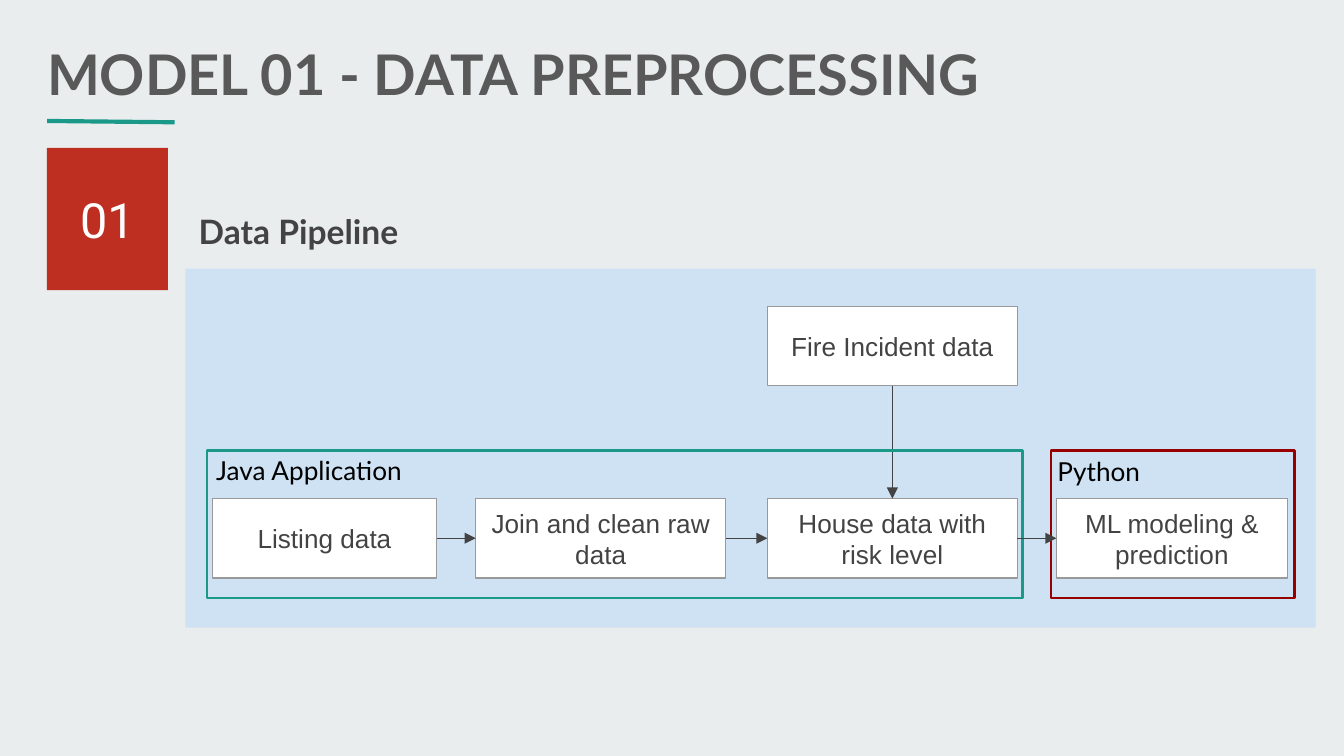
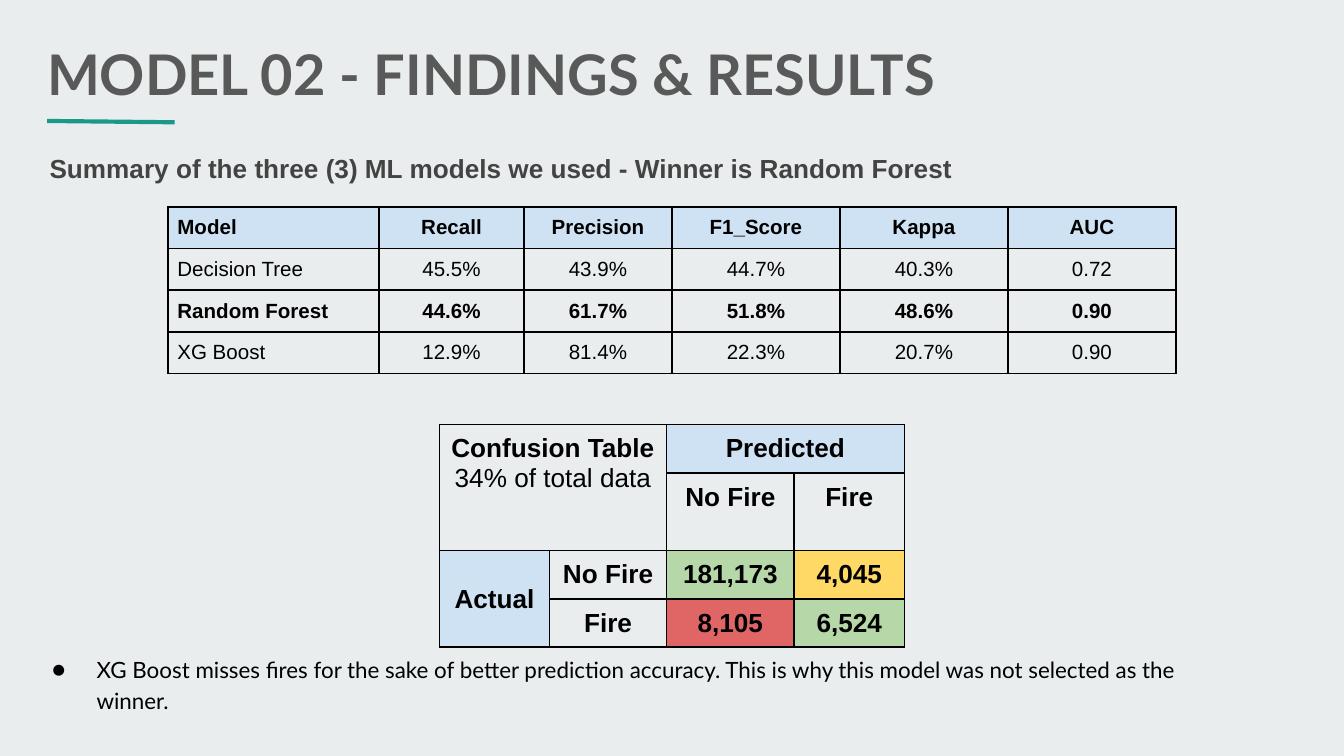
from dataclasses import dataclass
from typing import NamedTuple

from lxml import etree
from pptx import Presentation
from pptx import util as u
from pptx.dml.color import RGBColor
from pptx.enum import shapes, text
from pptx.oxml.ns import qn

# Shared look
PAGE, PALE, WHITE, BLACK = "E9EDEE", "CFE2F3", "FFFFFF", "000000"
TEAL, RED, MAROON = "1A9988", "BE2F22", "980000"
HEAD, INK, GREY = "595959", "434343", "999999"
GREEN, GOLD, ROSE = "B6D7A8", "FFD966", "E06666"
LEFT, MID = text.PP_ALIGN.LEFT, text.PP_ALIGN.CENTER
TOP, HALF = text.MSO_ANCHOR.TOP, text.MSO_ANCHOR.MIDDLE
WIDE = 10
HIGH = WIDE * 9 / 16


@dataclass(frozen=True)
class Font:
    size: float
    face: str = "Arial"
    hue: str = BLACK
    bold: bool = False


class Area(NamedTuple):
    x: float
    y: float
    w: float
    h: float

    def emu(self) -> list:
        return [u.Inches(v) for v in self]


class Step(NamedTuple):
    label: str
    area: Area


class Group(NamedTuple):
    label: str
    spot: Area
    frame: Area
    hue: str


class Cell(NamedTuple):
    row: int
    col: int
    lines: tuple
    fill: str = ""
    align: int = MID
    anchor: int = TOP
    rows: int = 1
    cols: int = 1


def rgb(hue: str) -> RGBColor:
    return RGBColor.from_string(hue)


# Text helpers
def write(para, words: str, font: Font, align=LEFT, lead: float = 0) -> None:
    para.alignment = align
    if lead:
        para.line_spacing = lead
    run = para.add_run()
    run.text = words
    run.font.size = u.Pt(font.size)
    run.font.name = font.face
    run.font.bold = font.bold
    run.font.color.rgb = rgb(font.hue)


def setup(frame, anchor=TOP) -> None:
    frame.word_wrap = True
    frame.auto_size = text.MSO_AUTO_SIZE.NONE
    frame.vertical_anchor = anchor
    frame.margin_left = frame.margin_right = u.Inches(0.1)
    frame.margin_top = frame.margin_bottom = u.Inches(0.1)


def label(slide, area: Area, words: str, font: Font, anchor=TOP, lead: float = 0):
    frame = slide.shapes.add_textbox(*area.emu()).text_frame
    setup(frame, anchor)
    write(frame.paragraphs[0], words, font, lead=lead)
    return frame.paragraphs[0]


def bullet(para, font: Font) -> None:
    props = para._p.get_or_add_pPr()
    props.set("marL", str(u.Inches(0.5)))
    props.set("indent", str(u.Inches(-0.33)))
    tint = etree.SubElement(props, qn("a:buClr"))
    etree.SubElement(tint, qn("a:srgbClr"), val=font.hue)
    etree.SubElement(props, qn("a:buSzPts"), val=str(font.size * 100))
    etree.SubElement(props, qn("a:buFont"), typeface=font.face)
    etree.SubElement(props, qn("a:buChar"), char="●")


# Shape helpers
def rect(slide, area: Area, fill: str = "", line: str = "", width: float = 0.75):
    box = slide.shapes.add_shape(shapes.MSO_SHAPE.RECTANGLE, *area.emu())
    box.shadow.inherit = False
    if fill:
        box.fill.solid()
        box.fill.fore_color.rgb = rgb(fill)
    else:
        box.fill.background()
    if line:
        box.line.color.rgb = rgb(line)
        box.line.width = u.Pt(width)
    else:
        box.line.fill.background()
    return box


def block(slide, area: Area, words: str, font: Font, fill: str, line: str = ""):
    box = rect(slide, area, fill, line)
    setup(box.text_frame, HALF)
    write(box.text_frame.paragraphs[0], words, font, MID)
    return box


def rule(slide, x1: float, y1: float, x2: float, y2: float, hue: str, width: float):
    ends = [u.Inches(v) for v in (x1, y1, x2, y2)]
    line = slide.shapes.add_connector(shapes.MSO_CONNECTOR.STRAIGHT, *ends)
    line.line.color.rgb = rgb(hue)
    line.line.width = u.Pt(width)
    etree.SubElement(line._element.spPr, qn("a:effectLst"))
    return line


def arrow(slide, start, out: int, end, into: int) -> None:
    line = rule(slide, 0, 0, 1, 1, INK, 0.75)
    line.begin_connect(start, out)
    line.end_connect(end, into)
    etree.SubElement(line.line._get_or_add_ln(), qn("a:tailEnd"), type="triangle")


# Table helpers
def border(cell) -> None:
    props = cell._tc.get_or_add_tcPr()
    for side in ("lnL", "lnR", "lnT", "lnB"):
        line = etree.SubElement(props, qn(f"a:{side}"), w=str(u.Pt(1)))
        fill = etree.SubElement(line, qn("a:solidFill"))
        etree.SubElement(fill, qn("a:srgbClr"), val=BLACK)


def table(slide, x: float, y: float, cols: list, rows: list, cells: list) -> None:
    area = Area(x, y, sum(cols), sum(rows))
    grid = slide.shapes.add_table(len(rows), len(cols), *area.emu()).table
    grid.first_row = grid.horz_banding = False
    for col, width in zip(grid.columns, cols):
        col.width = u.Inches(width)
    for row, height in zip(grid.rows, rows):
        row.height = u.Inches(height)
    for cell in grid.iter_cells():
        border(cell)
        cell.fill.background()
    for item in cells:
        cell = grid.cell(item.row, item.col)
        if item.rows * item.cols > 1:
            cell.merge(grid.cell(item.row + item.rows - 1, item.col + item.cols - 1))
        if item.fill:
            cell.fill.solid()
            cell.fill.fore_color.rgb = rgb(item.fill)
        cell.margin_left = cell.margin_right = u.Inches(0.07)
        cell.margin_top = cell.margin_bottom = u.Inches(0.07)
        cell.vertical_anchor = item.anchor
        for i, (words, font) in enumerate(item.lines):
            frame = cell.text_frame
            para = frame.add_paragraph() if i else frame.paragraphs[0]
            write(para, words, font, item.align)


# Slide base: background, title and underline
def base(deck, title: str):
    slide = deck.slides.add_slide(deck.slide_layouts[5])
    slide.background.fill.solid()
    slide.background.fill.fore_color.rgb = rgb(PAGE)
    head = slide.shapes.title
    head.left, head.top, head.width, head.height = Area(0.25, 0.12, 8.06, 0.59).emu()
    setup(head.text_frame)
    para = head.text_frame.paragraphs[0]
    write(para, title, Font(30, "Lato", HEAD, True), lead=1.15)
    para.space_before, para.space_after = u.Pt(0), u.Pt(16)
    rule(slide, 0.35, 0.9, 1.3, 0.91, TEAL, 2.25)
    return slide


# Slide 1: data pipeline
ROW, TALL = 3.71, 0.59
STEPS = [
    Step("Listing data", Area(1.58, ROW, 1.67, TALL)),
    Step("Join and clean raw data", Area(3.54, ROW, 1.86, TALL)),
    Step("House data with risk level", Area(5.71, ROW, 1.86, TALL)),
    Step("ML modeling & prediction", Area(7.86, ROW, 1.72, TALL)),
]
FIRE = Step("Fire Incident data", Area(5.71, 2.28, 1.86, TALL))
GROUPS = [
    Group("Java Application", Area(1.51, 3.28, 1.67, 0.41),
          Area(1.54, 3.35, 6.07, 1.1), TEAL),
    Group("Python", Area(7.77, 3.29, 0.9, 0.41),
          Area(7.82, 3.35, 1.81, 1.1), MAROON),
]


def flow(deck) -> None:
    slide = base(deck, "MODEL 01 - DATA PREPROCESSING")
    block(slide, Area(0.35, 1.1, 0.9, 1.06), "01", Font(26, "Roboto", WHITE), RED)
    rect(slide, Area(1.38, 2, 8.41, 2.67), PALE)
    *chain, fire = [block(slide, step.area, step.label, Font(14, hue=INK), WHITE, GREY)
                    for step in STEPS + [FIRE]]
    for group in GROUPS:
        label(slide, group.spot, group.label, Font(14, "Lato"))
    arrow(slide, fire, 2, chain[2], 0)
    for group in GROUPS:
        rect(slide, group.frame, line=group.hue, width=1.5)
    for start, end in zip(chain, chain[1:]):
        arrow(slide, start, 3, end, 1)
    label(slide, Area(1.38, 1.47, 1.99, 0.45), "Data Pipeline",
          Font(18, "Lato", INK, True))


# Slide 2: scores and confusion table
SCORES = [
    ["Model", "Recall", "Precision", "F1_Score", "Kappa", "AUC"],
    ["Decision Tree", "45.5%", "43.9%", "44.7%", "40.3%", "0.72"],
    ["Random Forest", "44.6%", "61.7%", "51.8%", "48.6%", "0.90"],
    ["XG Boost", "12.9%", "81.4%", "22.3%", "20.7%", "0.90"],
]
STRONG = Font(14, bold=True)
COUNTS = [
    Cell(0, 0, (("Confusion Table", STRONG), ("34% of total data", Font(14))),
         rows=2, cols=2),
    Cell(0, 2, (("Predicted", STRONG),), PALE, cols=2),
    Cell(1, 2, (("No Fire", STRONG),)),
    Cell(1, 3, (("Fire", STRONG),)),
    Cell(2, 0, (("Actual", STRONG),), PALE, anchor=HALF, rows=2),
    Cell(2, 1, (("No Fire", STRONG),)),
    Cell(2, 2, (("181,173", STRONG),), GREEN),
    Cell(2, 3, (("4,045", STRONG),), GOLD),
    Cell(3, 1, (("Fire", STRONG),)),
    Cell(3, 2, (("8,105", STRONG),), ROSE),
    Cell(3, 3, (("6,524", STRONG),), GREEN),
]


def results(deck) -> None:
    slide = base(deck, "MODEL 02 - FINDINGS & RESULTS")
    label(slide, Area(0.27, 0.94, 7.22, 0.59),
          "Summary of the three (3) ML models we used - Winner is Random Forest",
          Font(14, hue=INK, bold=True), HALF, 1.15)
    small = Font(12, "Lato")
    note = label(slide, Area(0.12, 4.75, 8.84, 0.59),
                 "XG Boost misses fires for the sake of better prediction accuracy. "
                 "This is why this model was not selected as the winner.",
                 small, lead=1.15)
    bullet(note, small)
    # Header and winner rows are bold
    cells = [Cell(r, c, ((words, Font(11, bold=r in (0, 2))),),
                  "" if r else PALE, MID if c else LEFT)
             for r, row in enumerate(SCORES) for c, words in enumerate(row)]
    table(slide, 1.25, 1.54, [1.57, 1.08, 1.1] + [1.25] * 3, [0.31] * 4, cells)
    table(slide, 3.27, 3.16, [0.82, 0.87, 0.95, 0.82], [0.36, 0.57, 0.36, 0.36], COUNTS)


def main() -> None:
    deck = Presentation()
    deck.slide_width, deck.slide_height = u.Inches(WIDE), u.Inches(HIGH)
    flow(deck)
    results(deck)
    deck.save("out.pptx")


if __name__ == "__main__":
    main()
